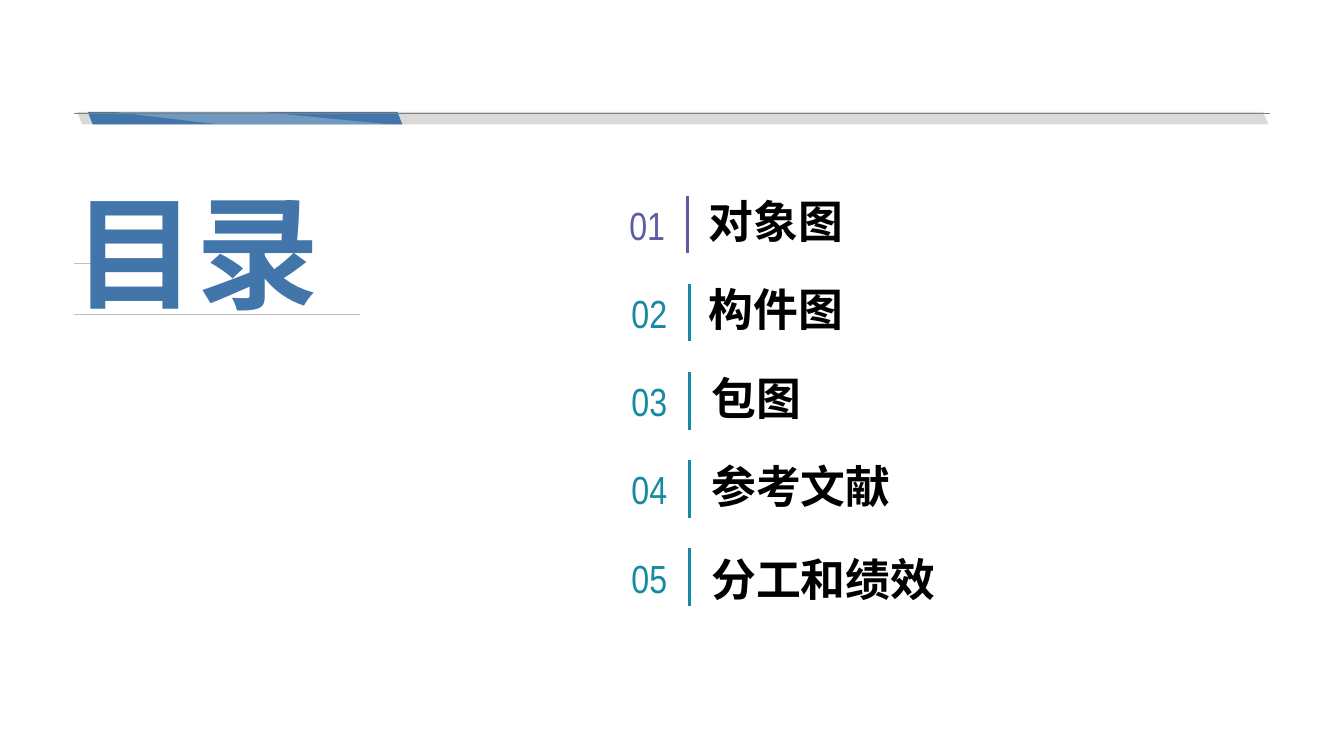
from lxml.etree import SubElement
from pptx import Presentation
from pptx.dml.color import RGBColor
from pptx.enum.shapes import MSO_CONNECTOR, MSO_SHAPE
from pptx.enum.text import MSO_ANCHOR, PP_ALIGN
from pptx.oxml.ns import qn
from pptx.util import Pt


def add_line(start_x, start_y, end_x, end_y, line_color, width):
    """Draw a straight line without a shadow."""
    connector = slide.shapes.add_connector(
        MSO_CONNECTOR.STRAIGHT, Pt(start_x), Pt(start_y), Pt(end_x), Pt(end_y))
    connector.line.color.rgb = RGBColor.from_string(line_color)
    connector.line.width = Pt(width)
    SubElement(connector.element.spPr, qn("a:effectLst"))


def add_text(text, left, top, width, height, size, font_name, text_color,
             anchor, bold=False, align=PP_ALIGN.LEFT):
    """Add a one-line text box that does not wrap."""
    box = slide.shapes.add_textbox(Pt(left), Pt(top), Pt(width), Pt(height))
    frame = box.text_frame
    frame.word_wrap = False
    frame.vertical_anchor = anchor
    frame.margin_right = 0
    if align == PP_ALIGN.CENTER:
        frame.margin_left = frame.margin_top = frame.margin_bottom = 0
    paragraph = frame.paragraphs[0]
    paragraph.text = text
    paragraph.alignment = align
    paragraph.font.size = Pt(size)
    paragraph.font.name = font_name
    paragraph.font.bold = bold
    paragraph.font.color.rgb = RGBColor.from_string(text_color)


BLUE, PURPLE, TEAL = "4276AA", "5E5CA2", "178AA1"

presentation = Presentation()
presentation.slide_width = Pt(960)
presentation.slide_height = Pt(540)
slide = presentation.slides.add_slide(presentation.slide_layouts[6])

# Header band
BAND_TOP, BAND_HEIGHT = 80, 8.8
band_bottom = BAND_TOP + BAND_HEIGHT
band_parts = []
for left, width, slant, fill_color in [(55, 851, 0.42, "D9D9D9"),
                                       (62.8, 224.6, 0.39, BLUE)]:
    band = slide.shapes.add_shape(
        MSO_SHAPE.PARALLELOGRAM, Pt(left), Pt(BAND_TOP), Pt(width), Pt(BAND_HEIGHT))
    band.adjustments[0] = slant
    band.element.spPr.xfrm.set("flipH", "1")
    band_parts.append((band, fill_color))

builder = slide.shapes.build_freeform(Pt(277.2), Pt(band_bottom))
builder.add_line_segments([(Pt(187.2), Pt(BAND_TOP)), (Pt(82), Pt(BAND_TOP)),
                           (Pt(155.5), Pt(band_bottom))], close=True)
glint = builder.convert_to_shape()
band_parts.append((glint, "FFFFFF"))

for shape, fill_color in band_parts:
    shape.shadow.inherit = False
    shape.fill.solid()
    shape.fill.fore_color.rgb = RGBColor.from_string(fill_color)
    shape.line.fill.background()
glint_color = glint.element.spPr.find(qn("a:solidFill"))[0]
SubElement(glint_color, qn("a:alpha")).set("val", "25000")
add_line(53, 81, 907, 81, "808080", 0.25)

# Title rules
add_line(112, 188, 53, 188, "BFBFBF", 0.5)
add_line(53, 224.6, 256.8, 224.6, "BFBFBF", 0.5)

# Contents: label, number width, divider x, label x, label width, label shift
entries = [
    ("对象图", 37, 491, 499, 107, -0.6),
    ("构件图", 40, 492.4, 499, 112, -0.6),
    ("包图", 40, 492.8, 501, 104, -0.3),
    ("参考文献", 40, 492.4, 501, 142, -0.3),
    ("分工和绩效", 40, 492.8, 501, 171, 3.6),
]
FIRST_ROW, ROW_PITCH, ROW_HEIGHT = 139.8, 63, 41
for index, (label, number_width, divider_x, label_x, label_width, shift) in enumerate(entries):
    top = FIRST_ROW + index * ROW_PITCH
    accent = TEAL if index else PURPLE
    add_text(f"{index + 1:02}", 443.8, top + 2.6, number_width, 36, 28,
             "Arial Narrow", accent, MSO_ANCHOR.MIDDLE, align=PP_ALIGN.CENTER)
    add_line(divider_x, top, divider_x, top + ROW_HEIGHT, accent, 2.25)
    add_text(label, label_x, top + shift, label_width, ROW_HEIGHT, 32,
             "Arial", "000000", MSO_ANCHOR.BOTTOM, bold=True)

add_text("目录", 45.4, 152.6, 190, 52, 88, "Arial", BLUE, MSO_ANCHOR.MIDDLE, bold=True)

presentation.save("out.pptx")
